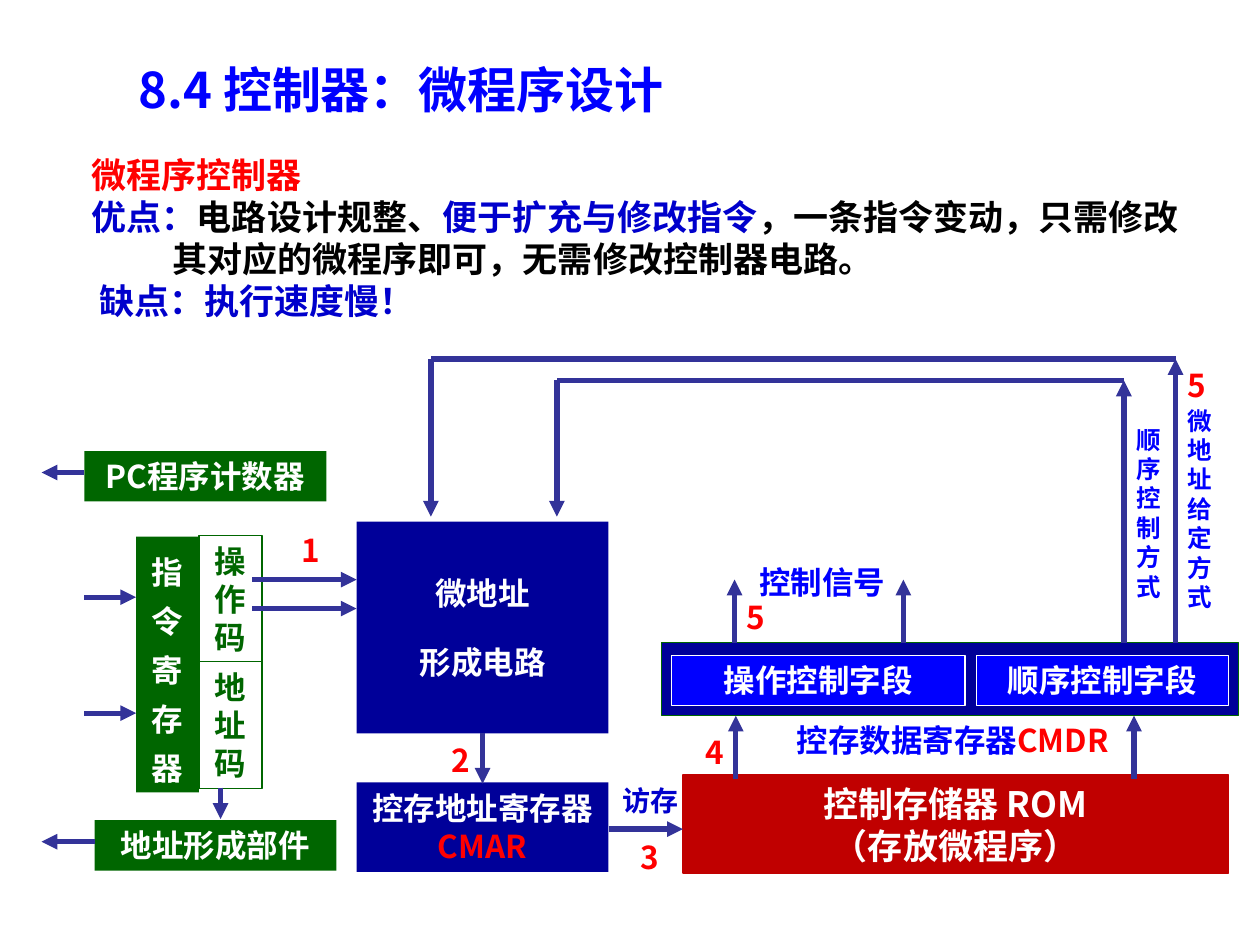
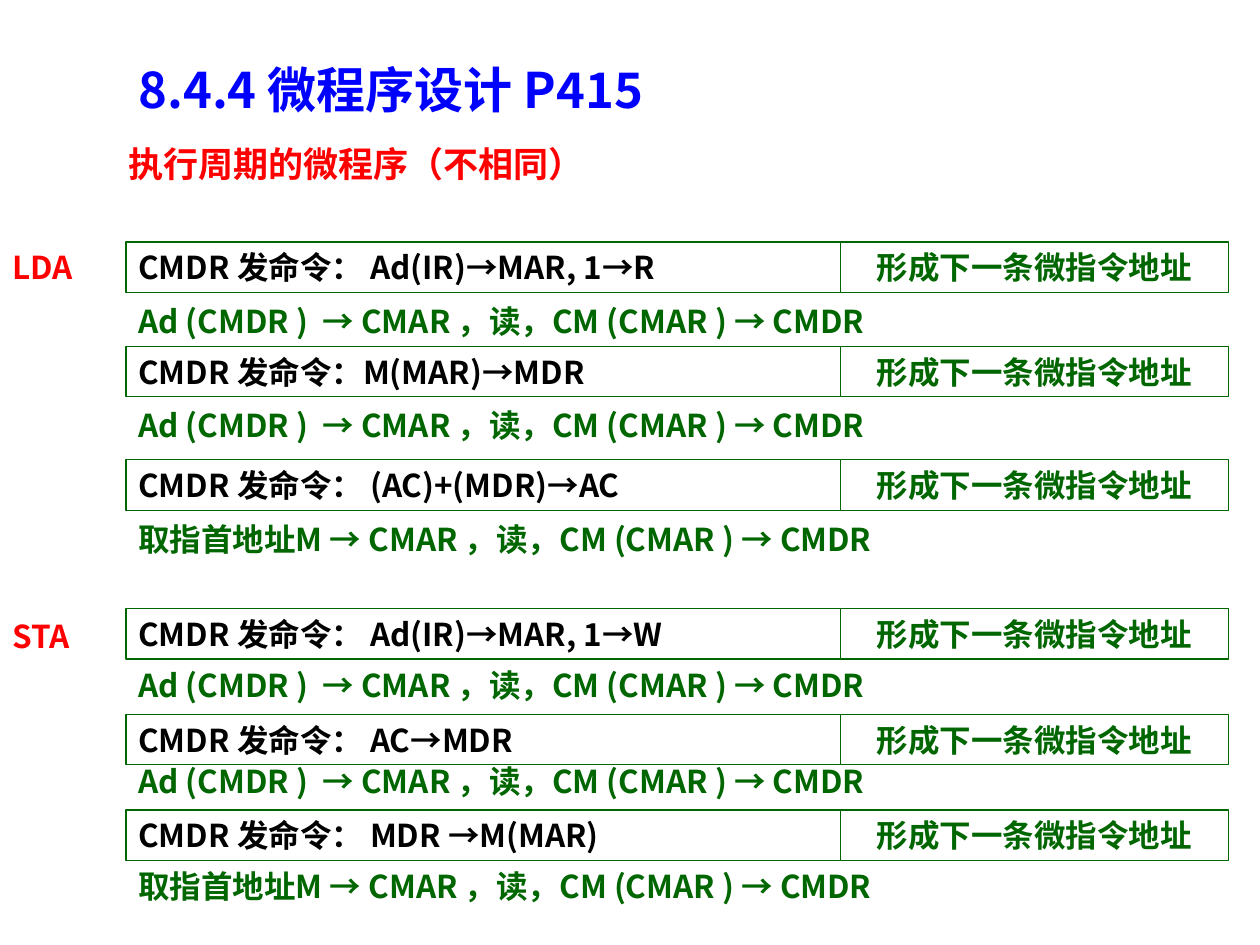
from pptx import Presentation
from pptx.dml.color import RGBColor
from pptx.enum.shapes import MSO_CONNECTOR, MSO_SHAPE
from pptx.enum.text import MSO_ANCHOR, PP_ALIGN
from pptx.oxml.ns import qn
from pptx.util import Inches, Pt
from lxml import etree

RECT, OVAL = MSO_SHAPE.RECTANGLE, MSO_SHAPE.OVAL
STRAIGHT = MSO_CONNECTOR.STRAIGHT
LEFT, CENTER = PP_ALIGN.LEFT, PP_ALIGN.CENTER
TOP, MIDDLE = MSO_ANCHOR.TOP, MSO_ANCHOR.MIDDLE

FONT = "Noto Sans CJK SC"
COLORS = {
    "blue": "0000FF", "ink": "0000CC", "navy": "000099", "arrow": "333399",
    "red": "FF0000", "brick": "C00000", "green": "006600",
    "white": "FFFFFF", "black": "000000",
}


def rgb(name):
    return RGBColor.from_string(COLORS[name])


def format_span(span, size, color):
    span.font.size = Pt(size)
    span.font.bold = True
    span.font.name = FONT
    span.font.color.rgb = rgb(color)
    east_asian = etree.SubElement(span.font._element, qn("a:ea"))
    east_asian.set("typeface", FONT)


def write(box, paras, size, color, align=LEFT, anchor=TOP, wrap=True):
    """Each paragraph is a string or a list of (text, color) spans."""
    frame = box.text_frame
    frame.word_wrap = wrap
    frame.vertical_anchor = anchor
    for index, content in enumerate(paras):
        para = frame.paragraphs[0] if index == 0 else frame.add_paragraph()
        para.alignment = align
        spans = [(content, color)] if isinstance(content, str) else content
        for text, span_color in spans:
            span = para.add_run()
            span.text = text
            format_span(span, size, span_color)
    return frame


def add_text(page, at, paras, size, color, **layout):
    box = page.shapes.add_textbox(*map(Inches, at))
    return write(box, paras, size, color, **layout)


def add_block(page, at, paras, fill=None, line=None, color="white", size=18,
              kind=RECT, align=CENTER, anchor=MIDDLE, wrap=True):
    block = page.shapes.add_shape(kind, *map(Inches, at))
    block.shadow.inherit = False
    if fill:
        block.fill.solid()
        block.fill.fore_color.rgb = rgb(fill)
    else:
        block.fill.background()
    if line:
        block.line.color.rgb = rgb(line)
        block.line.width = Pt(0.75)
    else:
        block.line.fill.background()
    return write(block, paras, size, color, align, anchor, wrap)


def add_line(page, start, end, arrow=True):
    points = [Inches(value) for value in (*start, *end)]
    line = page.shapes.add_connector(STRAIGHT, *points)
    line.line.color.rgb = rgb("arrow")
    line.line.width = Pt(3)
    if arrow:
        tail = etree.SubElement(line.line._get_or_add_ln(), qn("a:tailEnd"))
        tail.set("type", "triangle")
    etree.SubElement(line._element.spPr, qn("a:effectLst"))


def add_step(page, number, left, top):
    add_block(page, (left, top, 0.5, 0.57), [number], color="red",
              kind=OVAL, wrap=False)


def add_page(deck, title):
    page = deck.slides.add_slide(deck.slide_layouts[6])
    add_text(page, (1, 0.42, 8.08, 0.57), [title], 28, "blue")
    return page


def add_intro(page):
    paras = [
        [("微程序控制器", "red")],
        [("优点：", "ink"), ("电路设计规整、", "black"),
         ("便于扩充与修改指令", "ink"),
         ("，一条指令变动，只需修改", "black")],
        [("其对应的微程序即可，无需修改控制器电路。", "black")],
        [("缺点：执行速度慢！", "ink")],
    ]
    frame = add_text(page, (0, 1.17, 9.9, 1.43), paras, 20, "black")
    for para, indent in zip(frame.paragraphs, (0.63, 0.63, 1.27, 0.69)):
        para._p.get_or_add_pPr().set("marL", str(Inches(indent)))


def add_instruction_side(page):
    # Program counter, instruction register and address unit
    add_block(page, (0.67, 3.58, 1.92, 0.4), ["PC程序计数器"], "green")
    register = add_block(page, (1.08, 4.26, 0.5, 2.03), ["指令", "寄存器"], "green")
    for para in register.paragraphs:
        para.line_spacing = Pt(28)
    for top, field in ((4.25, "操作码"), (5.25, "地址码")):
        add_block(page, (1.58, top, 0.5, 1.01), [field], "white", "green", "green")
    add_block(page, (0.75, 6.51, 1.92, 0.4), ["地址形成部件"], "green")


def add_control_side(page):
    # Microaddress circuit and its address register
    circuit = add_block(page, (2.83, 4.14, 2, 1.68), ["微地址", "形成电路"], "navy")
    circuit.paragraphs[1].space_before = Pt(18)
    add_block(page, (2.83, 6.21, 2, 0.71),
              ["控存地址寄存器", [("CMAR", "red")]], "navy")

    # Control memory and its data register
    add_block(page, (5.42, 6.15, 4.33, 0.78),
              ["控制存储器 ROM", "（存放微程序）"], "brick", "brick", size=20)
    add_block(page, (5.25, 5.1, 4.58, 0.58), [], "navy", "green")
    for left, width, field in ((5.33, 2.33, "操作控制字段"),
                               (7.75, 2, "顺序控制字段")):
        add_block(page, (left, 5.2, width, 0.4), [field], "blue", "white")


def add_labels(page):
    add_text(page, (6.17, 5.67, 2.78, 0.4),
             [[("控存数据寄存器", "blue"), ("CMDR", "red")]],
             18, "blue", align=CENTER, wrap=False)
    add_text(page, (5.44, 4.42, 2.17, 0.4), ["控制信号"], 18, "blue", align=CENTER)
    add_text(page, (4.75, 6.17, 0.83, 0.37), ["访存"], 16, "ink", align=CENTER)
    add_text(page, (8.92, 3.32, 0.5, 1.51), ["顺序", "控制", "方式"], 14, "blue")
    add_text(page, (9.33, 3.17, 0.58, 1.75), ["微地址给定方式"], 14, "blue")
    for number, left, top in (("1", 2.22, 4.08), ("2", 3.41, 5.75),
                              ("3", 4.91, 6.52), ("4", 5.42, 5.68),
                              ("5", 5.75, 4.61), ("5", 9.25, 2.77)):
        add_step(page, number, left, top)


def add_flow(page):
    # Horizontal arrows: x from, x to, y
    for start, end, y in ((0.67, 0.33, 3.75), (0.75, 0.33, 6.68),
                          (0.67, 1.08, 4.74), (0.67, 1.08, 5.66),
                          (2, 2.83, 4.6), (2, 2.83, 4.83),
                          (4.83, 5.42, 6.58)):
        add_line(page, (start, y), (end, y))
    # Vertical arrows: x, y from, y to
    for x, start, end in ((1.75, 6.25, 6.5), (3.83, 5.82, 6.22),
                          (5.84, 6.18, 5.68), (9, 6.18, 5.68),
                          (5.83, 5.1, 4.6), (7.17, 5.1, 4.6)):
        add_line(page, (x, start), (x, end))
    # Feedback loops from the sequence field to the circuit
    for right, left, y in ((9.33, 3.42, 2.85), (8.92, 4.42, 3.02)):
        add_line(page, (right, 5.1), (right, y))
        add_line(page, (right, y), (left, y), arrow=False)
        add_line(page, (left, y), (left, 4.1))


def add_controller_page(deck):
    page = add_page(deck, "8.4 控制器：微程序设计")
    add_intro(page)
    add_instruction_side(page)
    add_control_side(page)
    add_flow(page)
    add_labels(page)


def add_microinstruction(page, top, command, transfer_top, transfer):
    for left, width, text, color, align in (
            (1, 5.67, "CMDR 发命令：" + command, "black", LEFT),
            (6.67, 3.08, "形成下一条微指令地址", "green", CENTER)):
        add_block(page, (left, top, width, 0.4), [text], line="green",
                  color=color, align=align, anchor=TOP)
    add_text(page, (1, transfer_top, 8.75, 0.4),
             [transfer + " → CMAR ，读，CM (CMAR ) → CMDR"], 18, "green")


def add_execute_page(deck):
    page = add_page(deck, "8.4.4 微程序设计 P415")
    add_text(page, (0.92, 1.08, 6.83, 0.44), ["执行周期的微程序（不相同）"], 20, "red")
    follow, fetch = "Ad (CMDR ) ", "取指首地址M"
    programs = (
        ("LDA", 1.92, ((1.92, " Ad(IR)→MAR, 1→R", 2.35, follow),
                       (2.75, "M(MAR)→MDR", 3.17, follow),
                       (3.65, " (AC)+(MDR)→AC", 4.08, fetch))),
        ("STA", 4.85, ((4.83, " Ad(IR)→MAR, 1→W", 5.24, follow),
                       (5.67, " AC→MDR", 6, follow),
                       (6.43, " MDR →M(MAR)", 6.83, fetch))),
    )
    for name, top, rows in programs:
        add_text(page, (0, top, 1, 0.4), [name], 18, "red")
        for row in rows:
            add_microinstruction(page, *row)


def main():
    deck = Presentation()
    deck.slide_width, deck.slide_height = Inches(10), Inches(7.5)
    add_controller_page(deck)
    add_execute_page(deck)
    deck.save("out.pptx")


if __name__ == "__main__":
    main()
